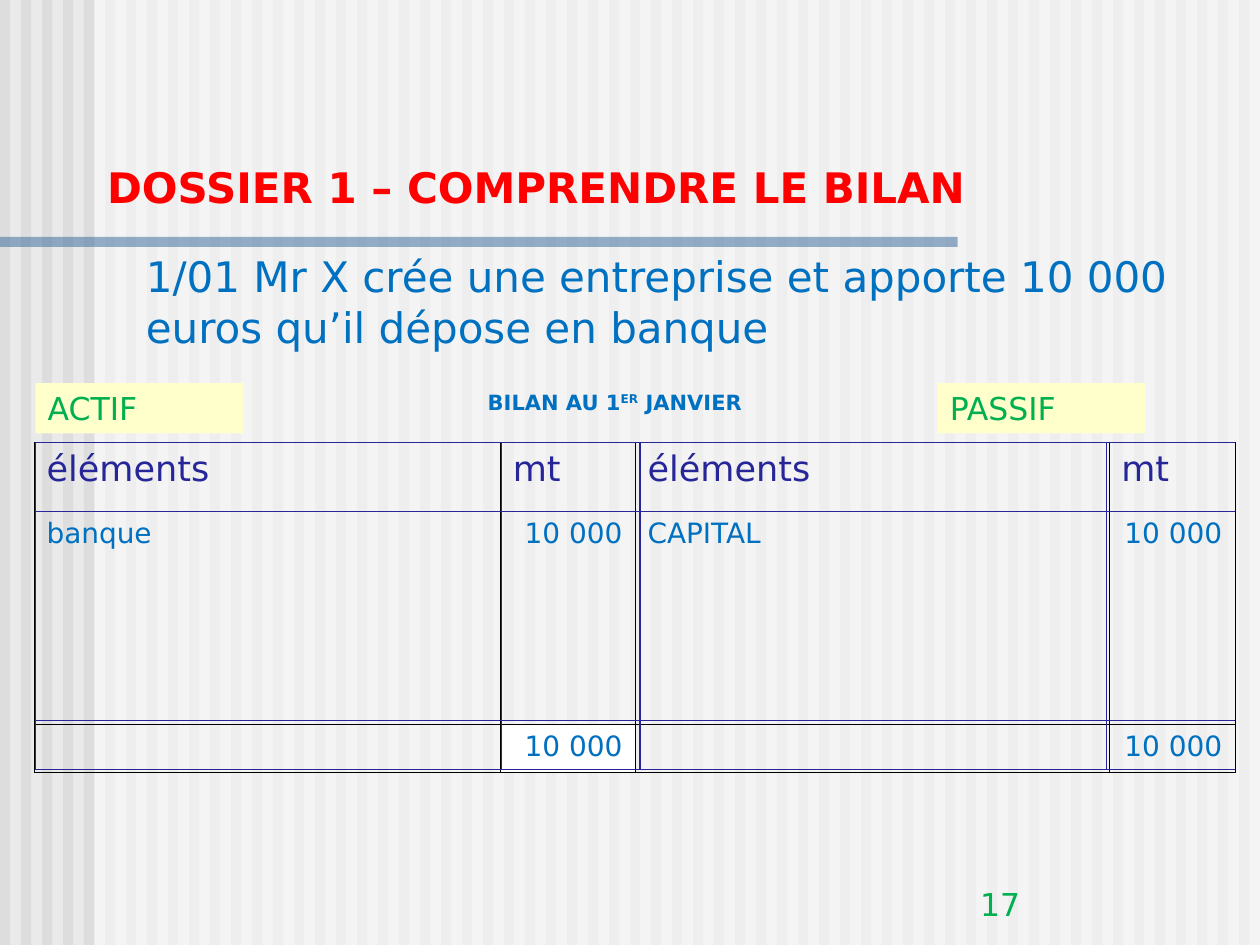
from lxml.etree import SubElement
from pptx import Presentation
from pptx.dml.color import RGBColor
from pptx.enum.shapes import MSO_CONNECTOR, MSO_SHAPE
from pptx.enum.text import MSO_ANCHOR, MSO_AUTO_SIZE, PP_ALIGN
from pptx.oxml.ns import qn
from pptx.util import Inches, Pt

BACKGROUND = RGBColor(0xEA, 0xEA, 0xEA)
STRIPE = RGBColor(0xDD, 0xDD, 0xDD)
WHITE = RGBColor(0xFF, 0xFF, 0xFF)
STEEL = RGBColor(0x33, 0x66, 0x99)
RED = RGBColor(0xFF, 0x00, 0x00)
BLUE = RGBColor(0x00, 0x70, 0xC0)
NAVY = RGBColor(0x26, 0x26, 0x99)
GREEN = RGBColor(0x00, 0xB0, 0x50)
CREAM = RGBColor(0xFF, 0xFF, 0xCC)
FONT = "DejaVu Sans"

SLIDE_W, SLIDE_H = 10, 7.5
STRIPES = 60
TABLE_LEFT, TABLE_TOP = 0.27, 3.51
COL_WIDTHS = (3.7, 1.07, 3.76, 1)
ROW_HEIGHTS = (0.55, 1.69, 0.38)
ROWS = (
    ("éléments", "mt", "éléments", "mt"),
    ("banque", "10 000", "CAPITAL", "10 000"),
    ("", "10 000", "", "10 000"),
)
# Ruled lines over the table
RULE_X = (0.28, 3.98, 5.08, 8.78)
RULE_Y = (3.51, 4.06, 5.72, 6.11)
RULE_RIGHT = 9.8


def box(*lengths):
    return [Inches(v) for v in lengths]


def add_run(p, text, size, color, bold=False):
    r = p.add_run()
    r.text = text
    formats = {"name": FONT, "size": Pt(size), "bold": bold}
    for name, value in formats.items():
        setattr(r.font, name, value)
    r.font.color.rgb = color
    return r


def set_frame(tf, anchor=MSO_ANCHOR.TOP):
    formats = {"word_wrap": True, "auto_size": MSO_AUTO_SIZE.NONE,
               "vertical_anchor": anchor,
               "margin_left": Inches(0.1), "margin_right": Inches(0.1),
               "margin_top": Inches(0.05), "margin_bottom": Inches(0.05)}
    for name, value in formats.items():
        setattr(tf, name, value)


def add_rect(shapes, at, color, alpha=None):
    sp = shapes.add_shape(MSO_SHAPE.RECTANGLE, *box(*at))
    sp.shadow.inherit = False
    sp.line.fill.background()
    sp.fill.solid()
    sp.fill.fore_color.rgb = color
    if alpha:
        clr = sp._element.spPr.find(".//" + qn("a:srgbClr"))
        SubElement(clr, qn("a:alpha"), val=str(alpha * 1000))
    return sp


def add_text(shapes, at, text, size, color, bold=False,
             align=PP_ALIGN.LEFT, anchor=MSO_ANCHOR.TOP):
    sp = shapes.add_textbox(*box(*at))
    set_frame(sp.text_frame, anchor)
    p = sp.text_frame.paragraphs[0]
    p.alignment = align
    add_run(p, text, size, color, bold)
    return p


def add_label(shapes, left, text):
    sp = add_rect(shapes, (left, 3.04, 1.65, 0.4), CREAM)
    set_frame(sp.text_frame)
    p = sp.text_frame.paragraphs[0]
    p.alignment = PP_ALIGN.LEFT
    add_run(p, text, 18, GREEN)


def add_rule(shapes, x1, y1, x2, y2):
    line = shapes.add_connector(MSO_CONNECTOR.STRAIGHT, *box(x1, y1, x2, y2))
    line.line.color.rgb = NAVY
    line.line.width = Pt(0.75)
    SubElement(line._element.spPr, qn("a:effectLst"))


def set_borders(cell, outer_sides):
    tcPr = cell._tc.get_or_add_tcPr()
    for i, side in enumerate(("L", "R", "T", "B")):
        width = Pt(0.23 if side in outer_sides else 0.11)
        ln = tcPr.makeelement(qn("a:ln" + side), {"w": str(width)})
        fill = SubElement(ln, qn("a:solidFill"))
        SubElement(fill, qn("a:srgbClr"), val="000000")
        tcPr.insert(i, ln)


def add_backdrop(shapes):
    group = shapes.add_group_shape().shapes
    for i in range(STRIPES):
        add_rect(group, (i / 6, 0, 0.08, SLIDE_H), STRIPE)
    add_rect(group, (0.75, 0, 9.25, SLIDE_H), WHITE, alpha=50)
    add_rect(group, (0, 1.88, 7.6, 0.08), STEEL, alpha=50)


def set_title(shapes, text):
    title = shapes.title
    title.left, title.top, title.width, title.height = box(0.75, 1.23, 8.93, 0.5)
    set_frame(title.text_frame, MSO_ANCHOR.BOTTOM)
    p = title.text_frame.paragraphs[0]
    p.alignment = PP_ALIGN.LEFT
    add_run(p, text, 24, RED, bold=True)
    # Bring the title in front of the backdrop
    shapes._spTree.append(title._element)


def add_balance_sheet(shapes):
    at = (TABLE_LEFT, TABLE_TOP, sum(COL_WIDTHS), sum(ROW_HEIGHTS))
    table = shapes.add_table(len(ROWS), len(COL_WIDTHS), *box(*at)).table
    table.first_row = table.horz_banding = False
    for col, width in zip(table.columns, COL_WIDTHS):
        col.width = Inches(width)
    for row, height in zip(table.rows, ROW_HEIGHTS):
        row.height = Inches(height)
    last_row, last_col = len(ROWS) - 1, len(COL_WIDTHS) - 1
    for i, texts in enumerate(ROWS):
        for j, text in enumerate(texts):
            cell = table.cell(i, j)
            cell.fill.background()
            p = cell.text_frame.paragraphs[0]
            p.line_spacing = 1.01
            if i and j % 2:
                p.alignment = PP_ALIGN.RIGHT
            add_run(p, text, 16 if i else 20, BLUE if i else NAVY)
            edges = {"L": j == 0, "R": j == last_col,
                     "T": i == 0, "B": i == last_row}
            set_borders(cell, [side for side, outer in edges.items() if outer])
    total = table.cell(last_row, 1)
    total.fill.solid()
    total.fill.fore_color.rgb = WHITE


def main():
    prs = Presentation()
    prs.slide_width, prs.slide_height = box(SLIDE_W, SLIDE_H)
    slide = prs.slides.add_slide(prs.slide_layouts[5])
    slide.background.fill.solid()
    slide.background.fill.fore_color.rgb = BACKGROUND
    shapes = slide.shapes

    # Backdrop, title and statement
    add_backdrop(shapes)
    set_title(shapes, "DOSSIER 1 – COMPRENDRE LE BILAN")
    add_text(shapes, (1.06, 1.94, 8.66, 0.9),
             "1/01 Mr X crée une entreprise et apporte 10 000 euros "
             "qu’il dépose en banque", 24, BLUE)

    # Balance sheet with its headings
    add_balance_sheet(shapes)
    add_label(shapes, 7.44, "PASSIF")
    add_label(shapes, 0.28, "ACTIF")
    p = add_text(shapes, (2.4, 3.04, 4.96, 0.31), "BILAN AU 1", 12, BLUE,
                 bold=True, align=PP_ALIGN.CENTER)
    ordinal = add_run(p, "ER", 12, BLUE, bold=True)
    ordinal.font._element.set("baseline", "30000")
    add_run(p, " JANVIER", 12, BLUE, bold=True)

    # Page number
    add_text(shapes, (7.68, 6.87, 2.08, 0.5), "17", 18, GREEN,
             anchor=MSO_ANCHOR.BOTTOM)

    # Ruled lines
    for y in RULE_Y:
        add_rule(shapes, RULE_X[0], y, RULE_RIGHT, y)
    for x in RULE_X:
        add_rule(shapes, x, RULE_Y[0], x, RULE_Y[-1])

    prs.save("out.pptx")


main()
